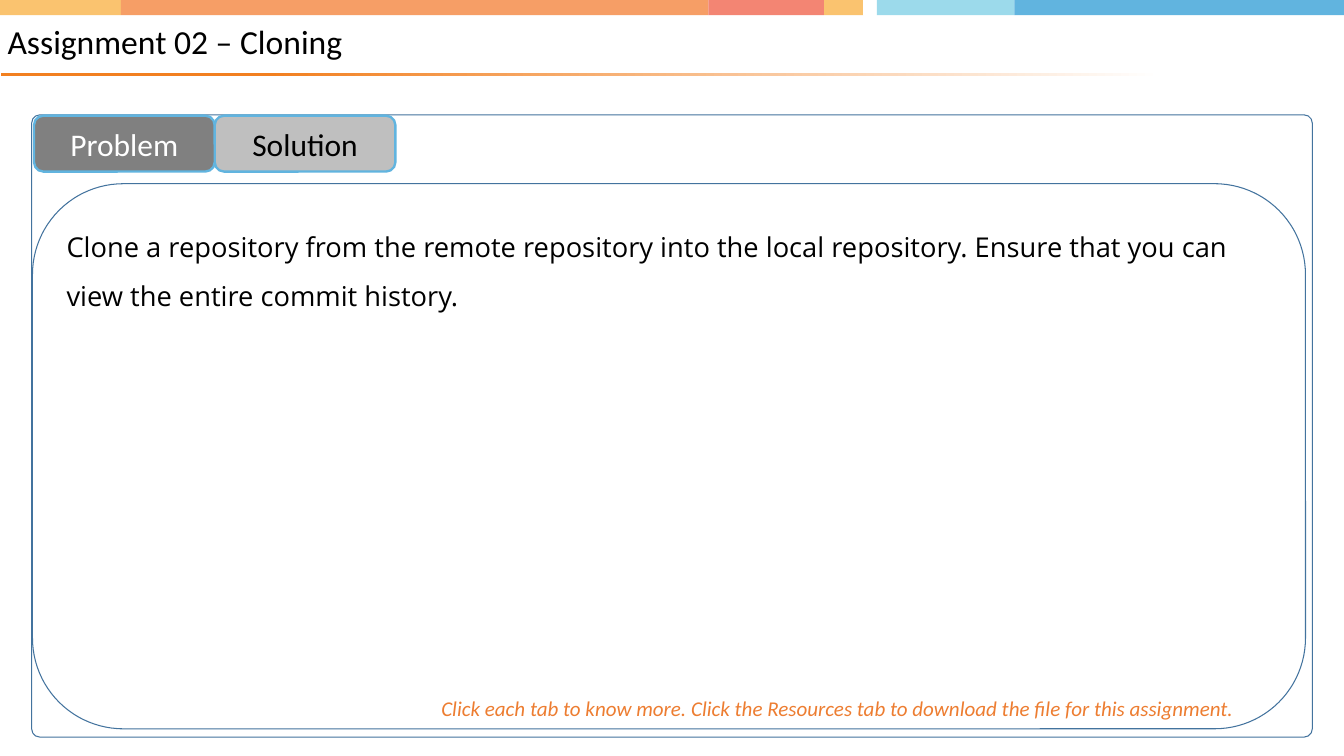
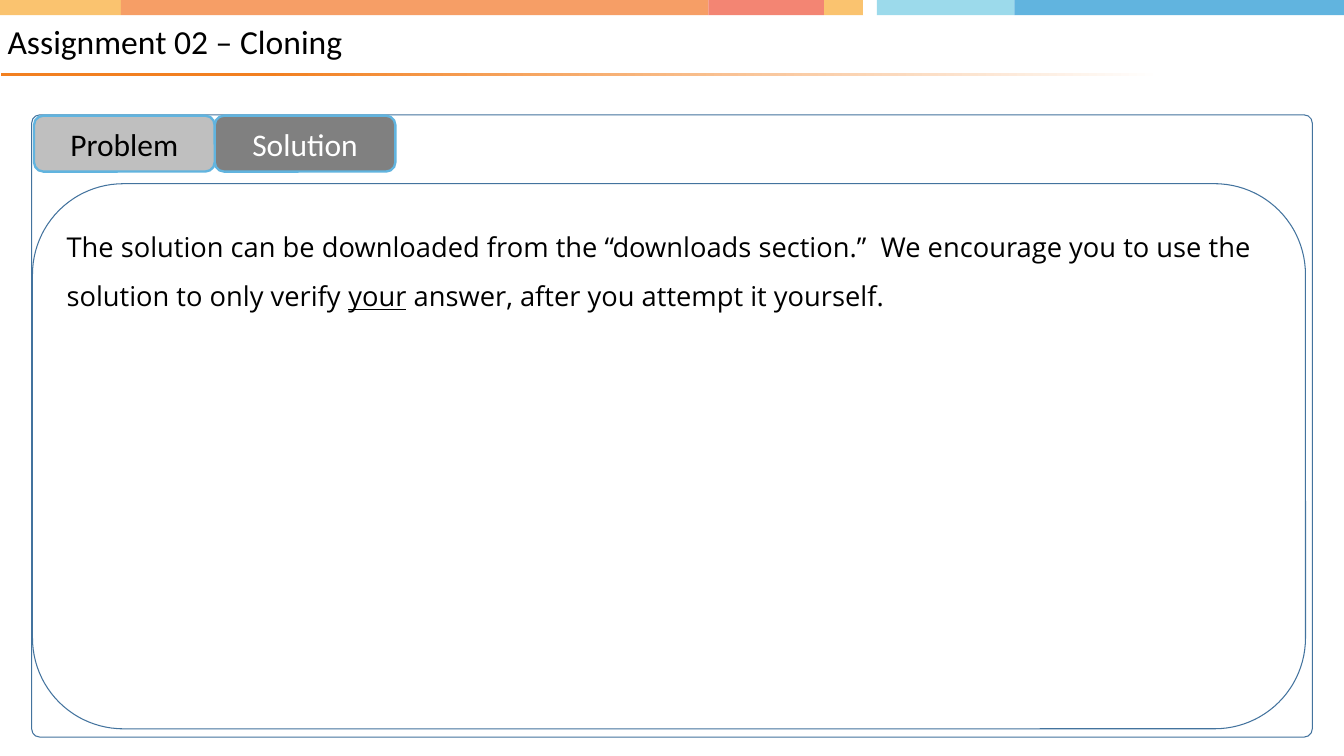
from dataclasses import dataclass

from pptx import Presentation
from pptx.dml.color import RGBColor
from pptx.enum.shapes import MSO_SHAPE
from pptx.enum.text import MSO_ANCHOR, MSO_AUTO_SIZE, PP_ALIGN
from pptx.util import Inches, Pt


@dataclass(frozen=True)
class Theme:
    black: str = "000000"
    white: str = "FFFFFF"
    amber: str = "FAC36F"
    peach: str = "F69E66"
    coral: str = "F38573"
    aqua: str = "9CDAEB"
    sky: str = "61B4DF"
    orange: str = "F28020"
    hint: str = "ED7D31"
    frame: str = "43739E"
    active_tab: str = "808080"
    idle_tab: str = "BFBFBF"
    heading_font: str = "Calibri"
    body_font: str = "Open Sans"
    title_size: int = 32
    tab_size: int = 30
    body_size: int = 26
    hint_size: int = 20


@dataclass(frozen=True)
class Box:
    left: float
    top: float
    width: float
    height: float

    def percent(self, left, top, width, height):
        return Box(self.left + self.width * left / 100,
                   self.top + self.height * top / 100,
                   self.width * width / 100,
                   self.height * height / 100)

    def lengths(self):
        return [Inches(n) for n in (self.left, self.top, self.width, self.height)]


THEME = Theme()
SLIDE = Box(0, 0, 17.78, 10)
TITLE = "Assignment 02 – Cloning"
BANDS = [
    (9, THEME.amber), (43.7, THEME.peach), (8.61, THEME.coral),
    (2.92, THEME.amber), (1.01, THEME.white), (10.24, THEME.aqua),
    (24.52, THEME.sky),
]
TABS = ["Problem", "Solution"]
HINT = ("Click each tab to know more. Click the Resources tab "
        "to download the file for this assignment.")
PAGES = [
    ("Problem",
     [("Clone a repository from the remote repository into the local repository. "
       "Ensure that you can view the entire commit history.", False)],
     HINT),
    ("Solution",
     [("The solution can be downloaded from the “downloads section.”  "
       "We encourage you to use the solution to only verify ", False),
      ("your", True),
      (" answer, after you attempt it yourself.", False)],
     None),
]


def colour(value):
    return RGBColor.from_string(value)


def write(shape, text, size, color=THEME.black, font=THEME.heading_font,
          align=PP_ALIGN.LEFT, anchor=MSO_ANCHOR.TOP, italic=None,
          line_spacing=None, space_before=None):
    spans = [(text, False)] if isinstance(text, str) else text
    frame = shape.text_frame
    frame.word_wrap = True
    frame.auto_size = MSO_AUTO_SIZE.NONE
    frame.vertical_anchor = anchor
    para = frame.paragraphs[0]
    para.alignment = align
    para.line_spacing = line_spacing
    para.space_before = space_before
    for words, underlined in spans:
        span = para.add_run()
        span.text = words
        span.font.name = font
        span.font.size = Pt(size)
        span.font.color.rgb = colour(color)
        span.font.italic = italic
        span.font.underline = underlined or None


def draw(page, box, kind=MSO_SHAPE.ROUNDED_RECTANGLE, fill=None, line=None, weight=1):
    shape = page.shapes.add_shape(kind, *box.lengths())
    shape.shadow.inherit = False
    if fill:
        shape.fill.solid()
        shape.fill.fore_color.rgb = colour(fill)
    else:
        shape.fill.background()
    if line:
        shape.line.color.rgb = colour(line)
        shape.line.width = Pt(weight)
    else:
        shape.line.fill.background()
    return shape


def draw_bands(page, box):
    bands = []
    left = 0
    for width, fill in BANDS:
        bands.append(draw(page, box.percent(left, 0, width, 100), MSO_SHAPE.RECTANGLE, fill))
        left += width
    return bands


def draw_rule(page, box):
    rule = draw(page, box, MSO_SHAPE.RECTANGLE)
    rule.fill.gradient()
    rule.fill.gradient_angle = 0
    stops = ((0.23, THEME.orange), (1, THEME.white))
    for stop, (position, value) in zip(rule.fill.gradient_stops, stops):
        stop.position = position
        stop.color.rgb = colour(value)
    return rule


def share_header(page, layout):
    for holder in list(layout.placeholders):
        if holder.placeholder_format.idx:
            layout.shapes.element.remove(holder.element)
        else:
            box = SLIDE.percent(0, 2.1, 81.83, 7.3)
            holder.left, holder.top, holder.width, holder.height = box.lengths()
    header = draw_bands(page, SLIDE.percent(0, -0.1, 100, 2.1))
    header.append(draw_rule(page, SLIDE.percent(0.06, 9.6, 86.33, 0.4)))
    for place, shape in enumerate(header, 2):
        layout.shapes.element.insert(place, shape.element)


def fill_title(page):
    title = page.shapes.title
    frame = title.text_frame
    frame.margin_left = Inches(0.1)
    frame.margin_top = frame.margin_right = frame.margin_bottom = 0
    write(title, TITLE, THEME.title_size, anchor=MSO_ANCHOR.MIDDLE,
          line_spacing=0.9, space_before=Pt(13.3))


def draw_tabs(page, box, active):
    share = 100 / len(TABS)
    for place, name in reversed(list(enumerate(TABS))):
        chosen = name == active
        tab = draw(page, box.percent(place * share, 0, share, 100),
                   fill=THEME.active_tab if chosen else THEME.idle_tab,
                   line=THEME.sky, weight=2.25)
        write(tab, name, THEME.tab_size, THEME.white if chosen else THEME.black,
              align=PP_ALIGN.CENTER, anchor=MSO_ANCHOR.MIDDLE)


def draw_panel(page, box, active, body, hint):
    panel = draw(page, box, line=THEME.frame)
    panel.adjustments[0] = 0.013
    card = draw(page, box.percent(0.06, 11.06, 99.41, 87.61), line=THEME.frame)
    write(card, body, THEME.body_size, font=THEME.body_font, line_spacing=1.5)
    if hint:
        note = page.shapes.add_textbox(*box.percent(31.4, 92.71, 64.94, 5.35).lengths())
        write(note, hint, THEME.hint_size, THEME.hint, italic=True)
    draw_tabs(page, box.percent(0.18, 0.12, 28.22, 8.99), active)


def main():
    deck = Presentation()
    deck.slide_width, deck.slide_height = SLIDE.lengths()[2:]
    layout = deck.slide_layouts.get_by_name("Title Only")
    for number, (active, body, hint) in enumerate(PAGES):
        page = deck.slides.add_slide(layout)
        if number == 0:
            share_header(page, layout)
        fill_title(page)
        draw_panel(page, SLIDE.percent(2.36, 15.2, 95.28, 82.3), active, body, hint)
    deck.save("out.pptx")


if __name__ == "__main__":
    main()
